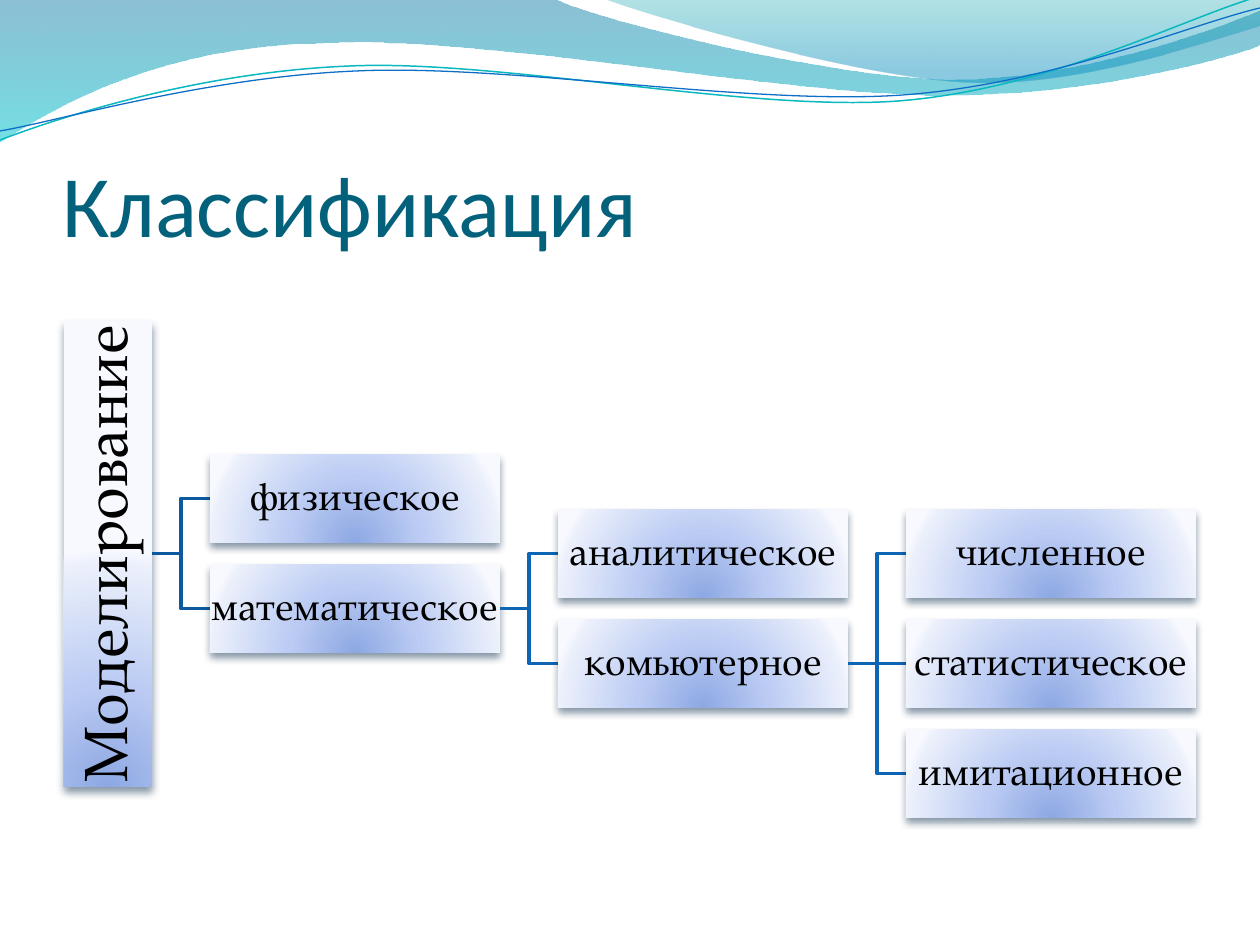
from pptx import Presentation
from pptx.dml.color import RGBColor
from pptx.enum.shapes import MSO_CONNECTOR as Connector, MSO_SHAPE as Shape
from pptx.enum.text import MSO_ANCHOR as Anchor, PP_ALIGN as Align
from pptx.oxml import parse_xml
from pptx.oxml.ns import nsdecls, qn
from pptx.util import Pt

SCALE = 914400 / 126
COLORS = {
    "title": "04617B", "text": "000000", "shadow": "042747",
    "root_link": "0C599F", "link": "0E65B4",
    "wave_blue": "0074A1", "wave_cyan": "00C6CF",
    "crest_teal": "00A1A9", "crest_blue": "008BBF",
    "teal_line": "0AB8BF", "blue_line": "0F6FC6",
    "box_core": "8DA8E3", "box_mid": "BBCBF3", "box_pale": "EAEFFB", "box_edge": "F7F9FF",
}
BOX_STOPS = [(0, "box_core", 100), (43, "box_mid", 100), (93, "box_pale", 100), (100, "box_edge", 100)]
LINEAR = '<a:lin ang="5400000" scaled="0"/>'
RADIAL = '<a:path path="circle"><a:fillToRect l="50000" t="130000" r="50000" b="-30000"/></a:path>'

WAVES = [
    ([(0, 0), (554, -1), (600, 21, 837, 79, 955, 79), (1075, 79, 1207, 33, 1260, 11),
      (1261, 45), (1239, 55, 1096, 96, 940, 95), (783, 95, 481, 35, 324, 43),
      (163, 45, 58, 105, -1, 142), (0, 0)],
     [(0, "wave_blue", 45), (100, "wave_cyan", 55)]),
    ([(604, -1), (641, 14, 859, 78, 969, 82), (1079, 87, 1211, 40, 1260, 26),
      (1260, 0), (604, -1)],
     [(0, "crest_teal", 30), (80, "crest_blue", 45)]),
]
WAVE_LINES = [
    ([(0, 140), (60, 117, 199, 72, 349, 66), (498, 59, 747, 112, 898, 101),
      (1050, 89, 1182, 19, 1257, -3)], "teal_line", 0.85),
    ([(0, 131), (59, 121, 207, 77, 357, 71), (508, 64, 752, 106, 903, 95),
      (1053, 84, 1185, 26, 1260, 8)], "blue_line", 0.75),
]
TREE = ("Моделирование", [
    ("физическое", []),
    ("математическое", [
        ("аналитическое", []),
        ("комьютерное", [("численное", []), ("статистическое", []), ("имитационное", [])]),
    ]),
])
BOX_WIDTH, BOX_HEIGHT, ROOT_LENGTH = 290, 88, 465
LINK_WIDTH, ROW_PITCH = 58, 110


def px(length):
    return round(length * SCALE)


def color(name):
    return RGBColor.from_string(COLORS[name])


def set_gradient(shape, stops, direction):
    shape.fill.background()
    marks = "".join(
        f'<a:gs pos="{place * 1000}"><a:srgbClr val="{COLORS[name]}">'
        f'<a:alpha val="{alpha * 1000}"/></a:srgbClr></a:gs>'
        for place, name, alpha in stops)
    gradient = parse_xml(f'<a:gradFill {nsdecls("a")} rotWithShape="1">'
                         f'<a:gsLst>{marks}</a:gsLst>{direction}</a:gradFill>')
    properties = shape._element.spPr
    properties.replace(properties.find(qn("a:noFill")), gradient)


def add_shadow(shape):
    effects = shape._element.spPr.find(qn("a:effectLst"))
    effects.append(parse_xml(
        f'<a:outerShdw {nsdecls("a")} blurRad="{Pt(4.5)}" dist="{Pt(3)}" dir="5400000" rotWithShape="0">'
        f'<a:srgbClr val="{COLORS["shadow"]}"><a:alpha val="48000"/></a:srgbClr></a:outerShdw>'))


def bend(shape, segments):
    steps = iter(list(shape._element.iter(qn("a:lnTo"))))
    for segment in segments[1:]:
        first = next(steps)
        if len(segment) == 6:
            first.tag = qn("a:cubicBezTo")
            for step in (next(steps), next(steps)):
                first.append(step[0])
                step.getparent().remove(step)


def add_outline(page, left, top, segments, close):
    points = [(px(left + segment[i]), px(top + segment[i + 1]))
              for segment in segments for i in range(0, len(segment), 2)]
    builder = page.shapes.build_freeform(*points[0])
    builder.add_line_segments(points[1:], close=close)
    shape = builder.convert_to_shape()
    bend(shape, segments)
    shape.shadow.inherit = False
    return shape


def add_waves(page, left, top):
    for segments, stops in WAVES:
        wave = add_outline(page, left, top, segments, True)
        set_gradient(wave, stops, LINEAR)
        wave.line.fill.background()
    for segments, name, width in WAVE_LINES:
        curve = add_outline(page, left, top, segments, False)
        curve.fill.background()
        curve.line.color.rgb = color(name)
        curve.line.width = Pt(width)


def write(frame, text, size, font, name):
    frame.word_wrap = True
    para = frame.paragraphs[0]
    para.text = text
    para.font.size = Pt(size)
    para.font.name = font
    para.font.color.rgb = color(name)
    return para


def add_title(page, left, top, width, height):
    box = page.shapes.add_textbox(px(left), px(top), px(width), px(height))
    frame = box.text_frame
    frame.margin_left = frame.margin_right = frame.margin_bottom = 0
    frame.margin_top = px(6)
    frame.vertical_anchor = Anchor.BOTTOM
    write(frame, "Классификация", 50, "Calibri", "title")


def add_box(page, center_x, center_y, width, text, size, rotation=0):
    box = page.shapes.add_shape(
        Shape.RECTANGLE, px(center_x - width / 2), px(center_y - BOX_HEIGHT / 2),
        px(width), px(BOX_HEIGHT))
    box.rotation = rotation
    box.shadow.inherit = False
    set_gradient(box, BOX_STOPS, RADIAL)
    box.line.fill.background()
    add_shadow(box)
    frame = box.text_frame
    frame.margin_left = frame.margin_right = frame.margin_top = frame.margin_bottom = px(2)
    frame.vertical_anchor = Anchor.MIDDLE
    para = write(frame, text, size, "TeX Gyre Pagella", "text")
    para.alignment = Align.CENTER
    para.line_spacing = 0.9


def add_link(page, left, start_y, end_y, name):
    link = page.shapes.add_connector(
        Connector.ELBOW, px(left), px(start_y), px(left + LINK_WIDTH), px(end_y))
    link.line.color.rgb = color(name)
    link.line.width = Pt(2)
    link._element.spPr.append(parse_xml(f'<a:effectLst {nsdecls("a")}/>'))


def add_branches(page, left, center_y, children, link_name):
    for index, (text, grandchildren) in enumerate(children):
        child_y = center_y + (index - (len(children) - 1) / 2) * ROW_PITCH
        box_left = left + LINK_WIDTH
        add_link(page, left, center_y, child_y, link_name)
        add_box(page, box_left + BOX_WIDTH / 2, child_y, BOX_WIDTH, text, 22)
        add_branches(page, box_left + BOX_WIDTH, child_y, grandchildren, "link")


def add_tree(page, left, top):
    text, children = TREE
    center_y = top + ROOT_LENGTH / 2
    add_box(page, left + BOX_HEIGHT / 2, center_y, ROOT_LENGTH, text, 35, 270)
    add_branches(page, left + BOX_HEIGHT, center_y, children, "root_link")


def main():
    deck = Presentation()
    deck.slide_width, deck.slide_height = px(1260), px(945)
    page = deck.slides.add_slide(deck.slide_layouts[6])
    add_waves(page, 0, 0)
    add_title(page, 63, 97, 1134, 158)
    add_tree(page, 64, 321)
    deck.save("out.pptx")


if __name__ == "__main__":
    main()
